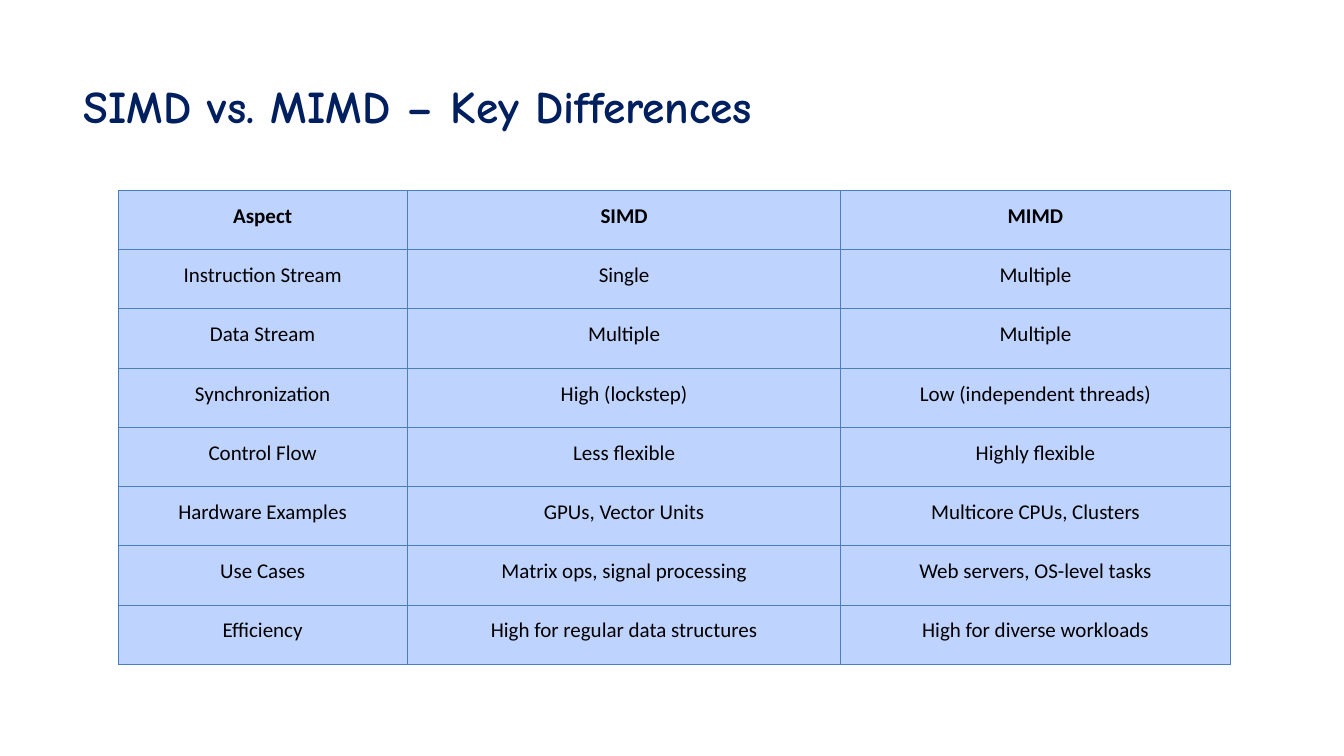
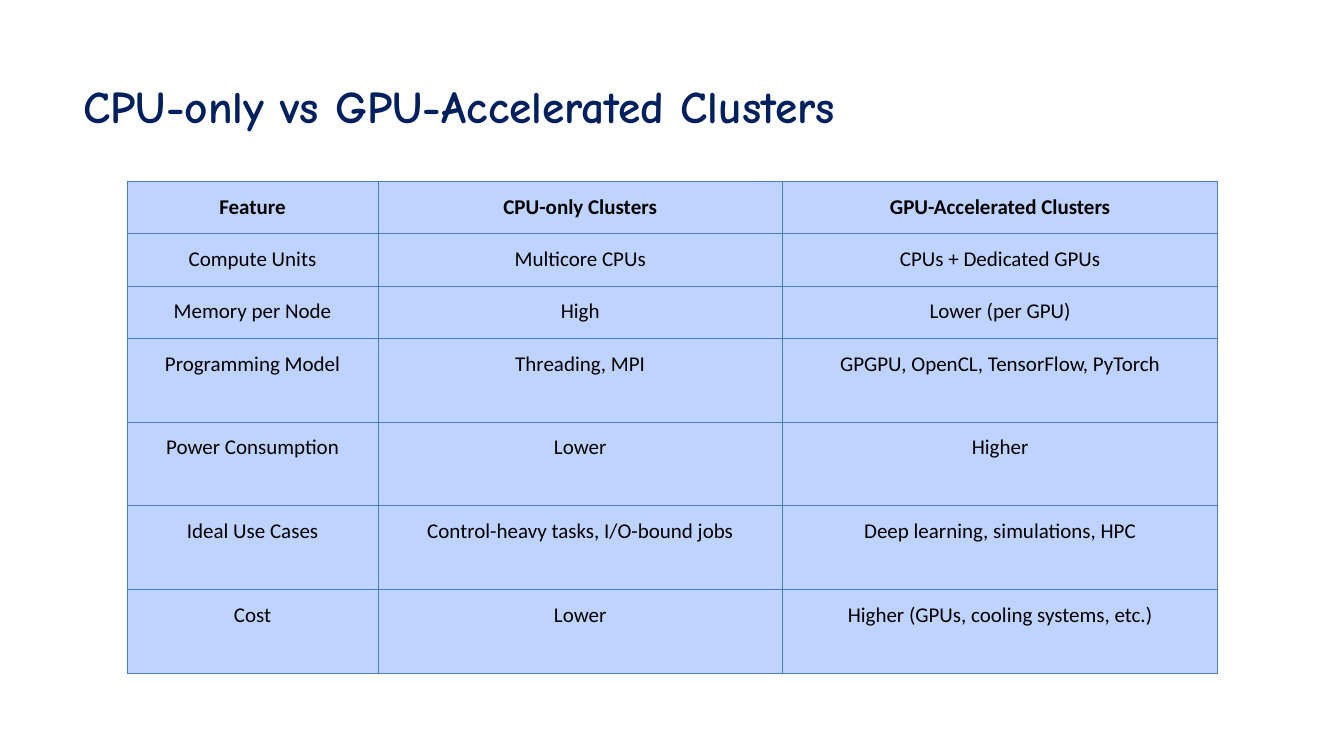
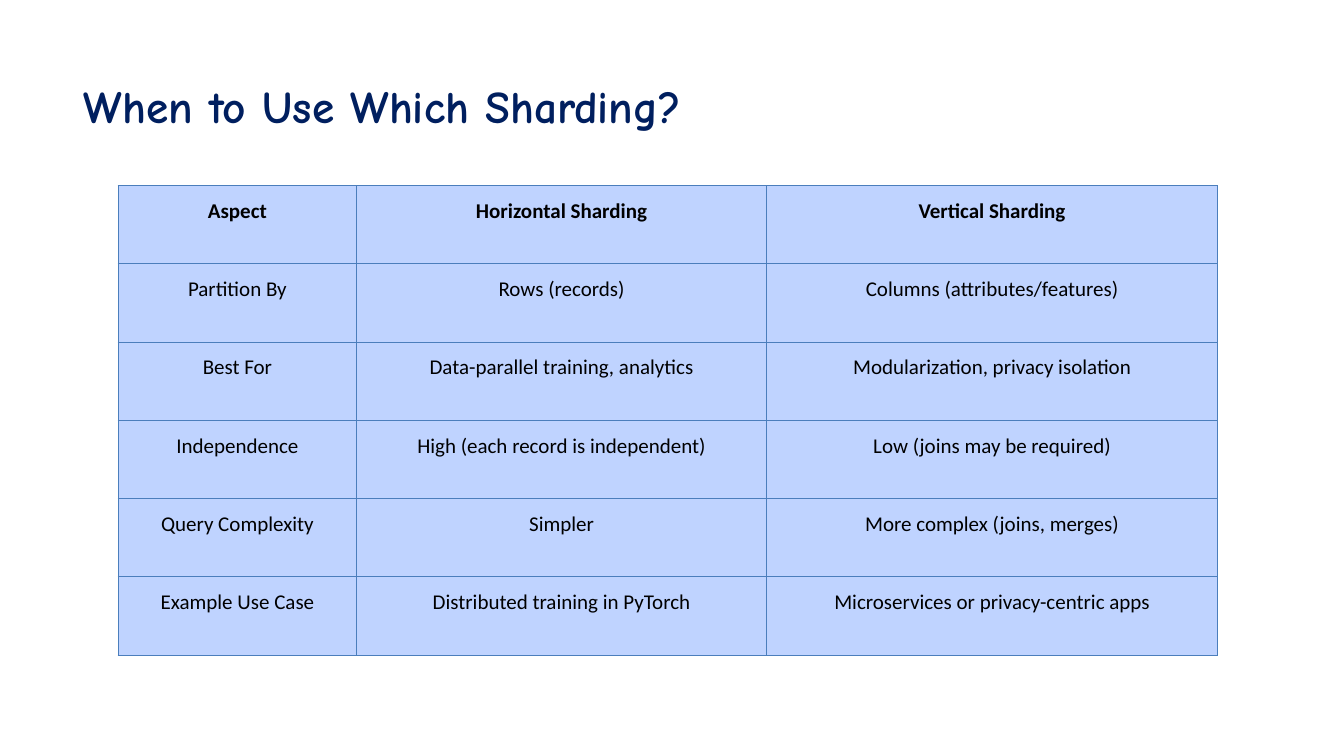
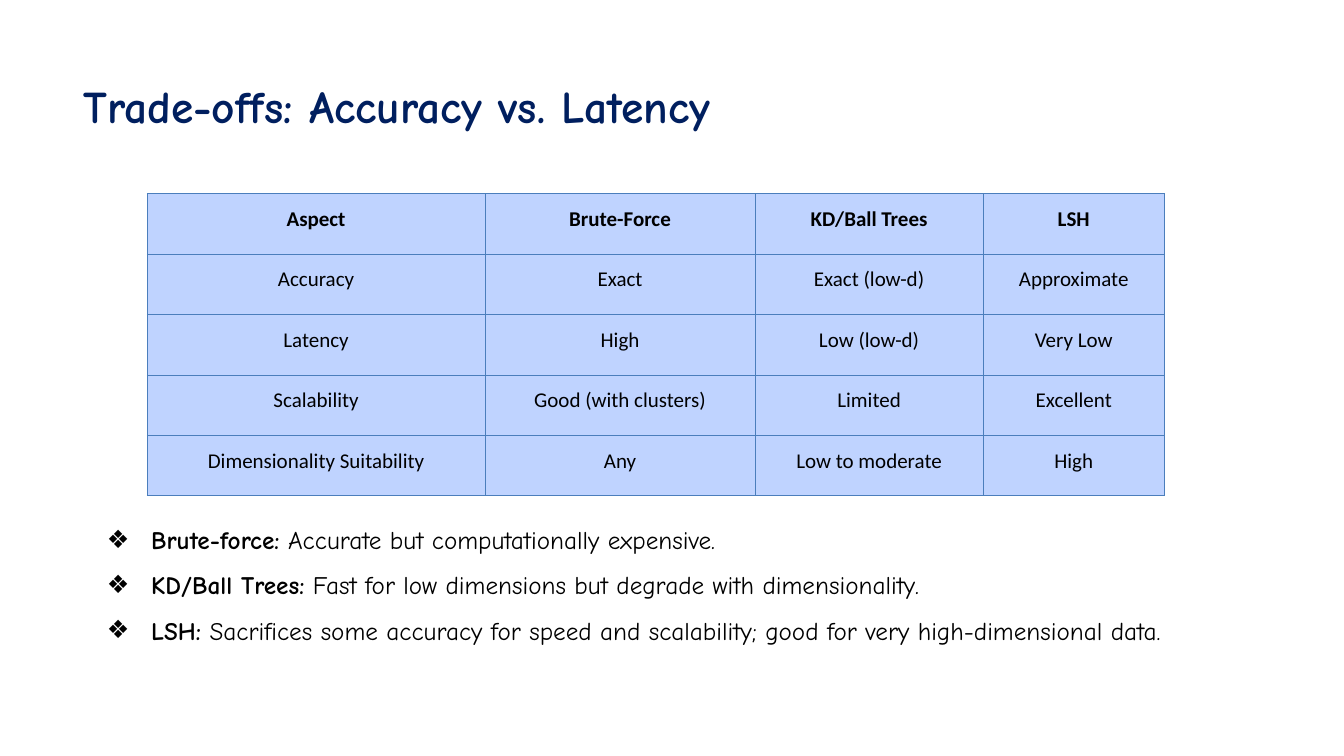
"""Build four comparison slides: parallelism, clusters, sharding and search trade-offs."""
from dataclasses import dataclass

from lxml.etree import SubElement
from pptx import Presentation
from pptx.dml.color import RGBColor
from pptx.enum.text import MSO_ANCHOR as Anchor
from pptx.enum.text import MSO_AUTO_SIZE as AutoSize
from pptx.enum.text import PP_ALIGN as Align
from pptx.oxml import parse_xml
from pptx.oxml.ns import nsdecls, qn
from pptx.util import Emu, Pt

EMU_PER_PX = 9144
NAVY, BLACK, CELL_BLUE, BORDER_BLUE = "001F5F", "000000", "BFD3FF", "4B7EBC"
TITLE_FONT, TABLE_FONT = "Comic Neue", "Calibri"
TITLE_ONLY, TITLE_AND_BODY = 5, 1


@dataclass(frozen=True)
class Frame:
    left: int
    top: int
    width: int
    height: int


@dataclass(frozen=True)
class Grid:
    left: int
    top: int
    height: int
    columns: tuple[int, ...]
    row_weights: tuple[int, ...]
    cells: tuple[tuple[str, ...], ...]


@dataclass(frozen=True)
class Point:
    term: str
    detail: str


@dataclass(frozen=True)
class Topic:
    title: str
    grid: Grid
    points: tuple[Point, ...] = ()


TITLE_FRAME = Frame(70, 65, 1173, 84)
BODY_FRAME = Frame(70, 492, 1131, 215)

TOPICS = (
    Topic("SIMD vs. MIMD – Key Differences", Grid(
        117, 189, 470, (287, 430, 386), (1,) * 8, (
            ("Aspect", "SIMD", "MIMD"),
            ("Instruction Stream", "Single", "Multiple"),
            ("Data Stream", "Multiple", "Multiple"),
            ("Synchronization", "High (lockstep)", "Low (independent threads)"),
            ("Control Flow", "Less flexible", "Highly flexible"),
            ("Hardware Examples", "GPUs, Vector Units", "Multicore CPUs, Clusters"),
            ("Use Cases", "Matrix ops, signal processing", "Web servers, OS-level tasks"),
            ("Efficiency", "High for regular data structures", "High for diverse workloads"),
        ))),
    Topic("CPU-only vs GPU-Accelerated Clusters", Grid(
        126, 180, 488, (249, 401, 432), (5,) * 3 + (8,) * 4, (
            ("Feature", "CPU-only Clusters", "GPU-Accelerated Clusters"),
            ("Compute Units", "Multicore CPUs", "CPUs + Dedicated GPUs"),
            ("Memory per Node", "High", "Lower (per GPU)"),
            ("Programming Model", "Threading, MPI", "GPGPU, OpenCL, TensorFlow, PyTorch"),
            ("Power Consumption", "Lower", "Higher"),
            ("Ideal Use Cases", "Control-heavy tasks, I/O-bound jobs",
             "Deep learning, simulations, HPC"),
            ("Cost", "Lower", "Higher (GPUs, cooling systems, etc.)"),
        ))),
    Topic("When to Use Which Sharding?", Grid(
        117, 184, 466, (237, 406, 448), (1,) * 6, (
            ("Aspect", "Horizontal Sharding", "Vertical Sharding"),
            ("Partition By", "Rows (records)", "Columns (attributes/features)"),
            ("Best For", "Data-parallel training, analytics",
             "Modularization, privacy isolation"),
            ("Independence", "High (each record is independent)",
             "Low (joins may be required)"),
            ("Query Complexity", "Simpler", "More complex (joins, merges)"),
            ("Example Use Case", "Distributed training in PyTorch",
             "Microservices or privacy-centric apps"),
        ))),
    Topic("Trade-offs: Accuracy vs. Latency", Grid(
        146, 192, 300, (335, 268, 226, 180), (1,) * 5, (
            ("Aspect", "Brute-Force", "KD/Ball Trees", "LSH"),
            ("Accuracy", "Exact", "Exact (low-d)", "Approximate"),
            ("Latency", "High", "Low (low-d)", "Very Low"),
            ("Scalability", "Good (with clusters)", "Limited", "Excellent"),
            ("Dimensionality Suitability", "Any", "Low to moderate", "High"),
        )), (
            Point("Brute-force:", " Accurate but computationally expensive."),
            Point("KD/Ball Trees:", " Fast for low dimensions but degrade with dimensionality."),
            Point("LSH:", " Sacrifices some accuracy for speed and scalability; "
                          "good for very high-dimensional data."),
        )),
)


def px(length: float) -> Emu:
    return Emu(round(length * EMU_PER_PX))


def color(value: str) -> RGBColor:
    return RGBColor.from_string(value)


def style_font(font, name: str, size: float, value: str) -> None:
    font.name, font.size = name, Pt(size)
    font.color.rgb = color(value)


def set_margins(target, margin: int) -> None:
    target.margin_left = target.margin_right = px(margin)
    target.margin_top = target.margin_bottom = px(margin)


def place(box, frame: Frame):
    box.left, box.top = px(frame.left), px(frame.top)
    box.width, box.height = px(frame.width), px(frame.height)
    text = box.text_frame
    text.word_wrap, text.auto_size = True, AutoSize.NONE
    text.vertical_anchor = Anchor.TOP
    set_margins(text, 13)
    return text


def write_title(page, title: str) -> None:
    text = place(page.shapes.title, TITLE_FRAME)
    text.text = title
    para = text.paragraphs[0]
    para.alignment = Align.LEFT
    style_font(para.font, TITLE_FONT, 32.4, NAVY)
    para.font.bold = True


def add_bullet(para) -> None:
    properties = para._p.get_or_add_pPr()
    properties.set("marL", str(px(67)))
    properties.set("indent", str(px(-44)))
    bullet_color = SubElement(properties, qn("a:buClr"))
    SubElement(bullet_color, qn("a:srgbClr"), val=BLACK)
    SubElement(properties, qn("a:buChar"), char="❖")


def write_points(page, points: tuple[Point, ...]) -> None:
    text = place(page.placeholders[1], BODY_FRAME)
    for index, point in enumerate(points):
        para = text.add_paragraph() if index else text.paragraphs[0]
        add_bullet(para)
        para.line_spacing = 1.5
        para.space_before = Pt(0)
        style_font(para.font, TITLE_FONT, 18, BLACK)
        for words, bold in ((point.term, True), (point.detail, False)):
            span = para.add_run()
            span.text = words
            span.font.bold = bold


def add_borders(cell) -> None:
    properties = cell._tc.get_or_add_tcPr()
    for index, side in enumerate("LRTB"):
        properties.insert(index, parse_xml(
            f'<a:ln{side} {nsdecls("a")} w="{Pt(0.75)}"><a:solidFill>'
            f'<a:srgbClr val="{BORDER_BLUE}"/></a:solidFill></a:ln{side}>'))


def fill_cell(cell, words: str, bold: bool) -> None:
    cell.text = words
    cell.vertical_anchor = Anchor.TOP
    set_margins(cell, 9)
    cell.fill.solid()
    cell.fill.fore_color.rgb = color(CELL_BLUE)
    add_borders(cell)
    para = cell.text_frame.paragraphs[0]
    para.alignment, para.line_spacing = Align.CENTER, 1.15
    style_font(para.font, TABLE_FONT, 15, BLACK)
    para.font.bold = bold


def draw_grid(page, grid: Grid) -> None:
    table = page.shapes.add_table(
        len(grid.cells), len(grid.columns), px(grid.left), px(grid.top),
        px(sum(grid.columns)), px(grid.height)).table
    table.first_row = table.horz_banding = False
    for column, width in zip(table.columns, grid.columns):
        column.width = px(width)
    for row, weight in zip(table.rows, grid.row_weights):
        row.height = px(grid.height * weight / sum(grid.row_weights))
    for row_index, row_words in enumerate(grid.cells):
        for column_index, words in enumerate(row_words):
            fill_cell(table.cell(row_index, column_index), words, row_index == 0)


def main() -> None:
    deck = Presentation()
    deck.slide_width, deck.slide_height = px(1333), px(750)
    for topic in TOPICS:
        layout = TITLE_AND_BODY if topic.points else TITLE_ONLY
        page = deck.slides.add_slide(deck.slide_layouts[layout])
        write_title(page, topic.title)
        if topic.points:
            write_points(page, topic.points)
        draw_grid(page, topic.grid)
    deck.save("out.pptx")


if __name__ == "__main__":
    main()
